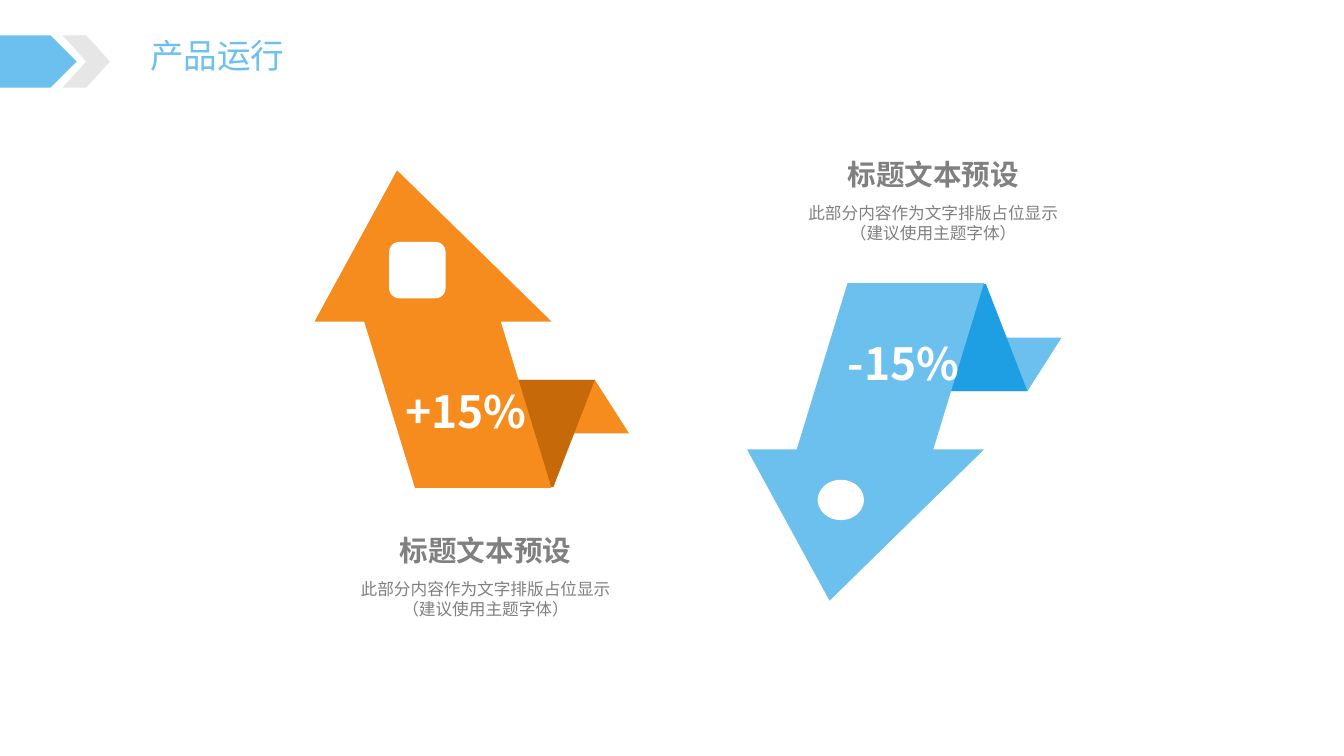
from lxml import etree
from pptx import Presentation
from pptx.dml.color import RGBColor
from pptx.enum.shapes import MSO_SHAPE
from pptx.enum.text import MSO_ANCHOR, MSO_AUTO_SIZE, PP_ALIGN
from pptx.oxml.ns import qn
from pptx.util import Inches, Pt

PENTAGON, CHEVRON = MSO_SHAPE.PENTAGON, MSO_SHAPE.CHEVRON
SLANT, TRIANGLE = MSO_SHAPE.PARALLELOGRAM, MSO_SHAPE.ISOSCELES_TRIANGLE
ROUNDED, OVAL = MSO_SHAPE.ROUNDED_RECTANGLE, MSO_SHAPE.OVAL
TOP, MIDDLE = MSO_ANCHOR.TOP, MSO_ANCHOR.MIDDLE
LEFT, CENTER = PP_ALIGN.LEFT, PP_ALIGN.CENTER
FIT_TEXT = MSO_AUTO_SIZE.SHAPE_TO_FIT_TEXT

BLUE = RGBColor(0x6B, 0xC0, 0xED)
DARK_BLUE = RGBColor(0x1E, 0x9F, 0xE4)
ORANGE = RGBColor(0xF6, 0x8C, 0x1D)
DARK_ORANGE = RGBColor(0xC6, 0x69, 0x08)
PALE_GRAY = RGBColor(0xE7, 0xE6, 0xE6)
GRAY = RGBColor(0x80, 0x80, 0x80)
WHITE = RGBColor(0xFF, 0xFF, 0xFF)
FONT = "Noto Sans CJK SC"

ARROW_HEIGHT = 3.15
HEADING = "标题文本预设"
BODY_LINES = ["此部分内容作为文字排版占位显示", "（建议使用主题字体）"]


def add_filled(slide, kind, box, color, adjustment=None, flips=()):
    """Add a borderless preset shape, mirrored along the named flips."""
    shape = slide.shapes.add_shape(kind, *map(Inches, box))
    shape.shadow.inherit = False
    shape.fill.solid()
    shape.fill.fore_color.rgb = color
    shape.line.fill.background()
    if adjustment is not None:
        shape.adjustments[0] = adjustment
    for flip in flips:
        shape._element.spPr.find(qn("a:xfrm")).set(flip, "1")


def add_text(slide, box, lines, size, color, bold=False, align=LEFT,
             anchor=TOP, wrap=False, inset=0.05):
    """Add one paragraph whose lines are parted by line breaks."""
    textbox = slide.shapes.add_textbox(*map(Inches, box))
    frame = textbox.text_frame
    frame.word_wrap = wrap
    frame.vertical_anchor = anchor
    frame.margin_top = frame.margin_bottom = Inches(inset)
    paragraph = frame.paragraphs[0]
    paragraph.alignment = align
    for index, line in enumerate(lines):
        if index:
            paragraph.add_line_break()
        paragraph.add_run().text = line
    font = paragraph.font
    font.name, font.size, font.bold = FONT, Pt(size), bold
    font.color.rgb = color
    latin = paragraph._p.pPr.find(qn("a:defRPr")).find(qn("a:latin"))
    east_asian = etree.Element(qn("a:ea"))
    east_asian.set("typeface", FONT)
    latin.addnext(east_asian)
    return frame


def add_header(slide, left, top, title):
    frame = add_text(slide, (left + 1.39, top - 0.05, 1.55, 0.5), [title], 24, BLUE)
    frame.auto_size = FIT_TEXT
    add_filled(slide, PENTAGON, (left, top, 0.76, 0.52), BLUE, 0.5)
    add_filled(slide, CHEVRON, (left + 0.62, top, 0.47, 0.52), PALE_GRAY, 0.5)


def add_folded_arrow(slide, left, top, color, fold_color, down=False):
    """Draw a ribbon arrow; pointing down is the mirror image of pointing up."""
    parts = [
        (SLANT, (1.36, 2.08, 1.76, 0.53), color, 0.639, ["flipH"]),
        (SLANT, (1.02, 2.08, 1.76, 1.06), fold_color, 0.387, []),
        (TRIANGLE, (0, 0, 2.35, 1.5), color, 0.652, ["flipH"]),
        (SLANT, (0.49, 1.49, 1.86, 1.66), color, 0.305, ["flipH"]),
    ]
    for kind, (x, y, width, height), fill, adjustment, flips in parts:
        if down:
            y = ARROW_HEIGHT - y - height
            flips = flips + ["flipV"]
        add_filled(slide, kind, (left + x, top + y, width, height),
                   fill, adjustment, flips)


def add_caption(slide, left, top):
    add_text(slide, (left, top + 0.33, 2.69, 0.64), BODY_LINES, 11.9, GRAY,
             align=CENTER, anchor=MIDDLE, wrap=True, inset=0)
    add_text(slide, (left, top, 2.69, 0.27), [HEADING], 20.4, GRAY,
             bold=True, align=CENTER, inset=0)


def add_percentage(slide, left, top, percentage):
    add_text(slide, (left, top, 1.6, 0.57), [percentage], 31.7, WHITE,
             bold=True, wrap=True)


def add_rise(slide, left, top):
    add_folded_arrow(slide, left, top, ORANGE, DARK_ORANGE)
    add_caption(slide, left + 0.35, top + 3.6)
    add_filled(slide, ROUNDED, (left + 0.74, top + 0.71, 0.56, 0.56), WHITE, 0.18)
    add_percentage(slide, left + 0.8, top + 2.07, "+15%")


def add_fall(slide, left, top):
    add_folded_arrow(slide, left, top, BLUE, DARK_BLUE, down=True)
    add_caption(slide, left + 0.5, top - 1.25)
    add_filled(slide, OVAL, (left + 0.7, top + 1.95, 0.46, 0.4), WHITE)
    add_percentage(slide, left + 0.9, top + 0.48, "-15%")


def main():
    presentation = Presentation()
    presentation.slide_width = Inches(13.33)
    presentation.slide_height = Inches(7.5)
    slide = presentation.slides.add_slide(presentation.slide_layouts[6])
    add_header(slide, 0, 0.35, "产品运行")
    add_rise(slide, 3.12, 1.69)
    add_fall(slide, 7.41, 2.81)
    presentation.save("out.pptx")


if __name__ == "__main__":
    main()
